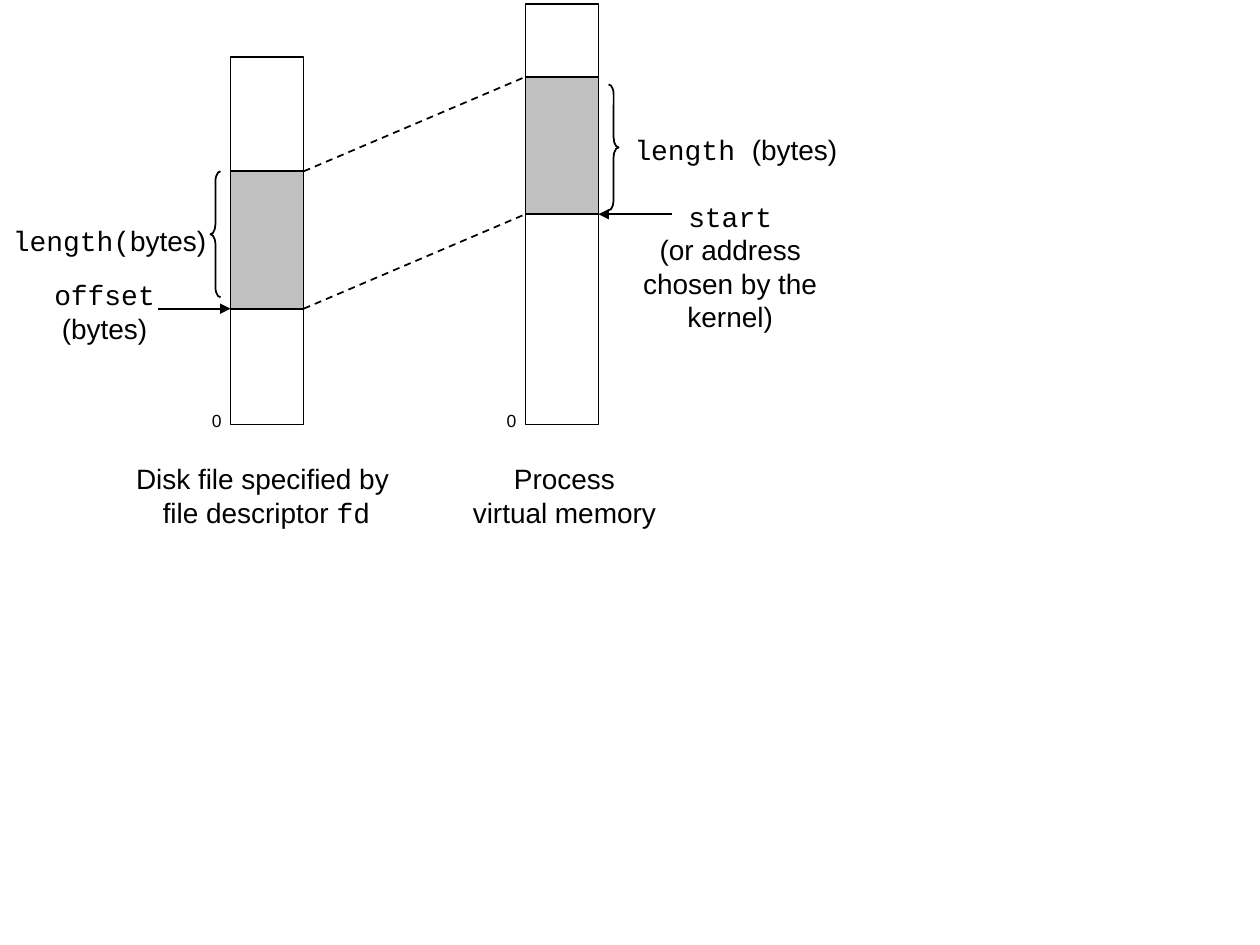
from typing import NamedTuple

from lxml.etree import SubElement
from pptx import Presentation
from pptx.dml.color import RGBColor
from pptx.enum.dml import MSO_LINE as Dash
from pptx.enum.shapes import MSO_CONNECTOR as Link, MSO_SHAPE as Kind
from pptx.enum.text import MSO_ANCHOR as Anchor, MSO_AUTO_SIZE as Fit, PP_ALIGN as Align
from pptx.oxml.ns import qn
from pptx.util import Inches, Pt

BLACK = RGBColor(0x00, 0x00, 0x00)
GRAY = RGBColor(0xC0, 0xC0, 0xC0)
SANS = "Arial"
MONO = "Courier New"

WIDE = 0.58
BASE = 3.37
SPAN = 1.09
DISK = 1.83
MEMORY = 4.17
FRAME = {
    "word_wrap": False,
    "auto_size": Fit.SHAPE_TO_FIT_TEXT,
    "vertical_anchor": Anchor.MIDDLE,
}


class Column(NamedTuple):
    left: float
    top: float
    start: float


class Brace(NamedTuple):
    kind: Kind
    left: float
    top: float


class Line(NamedTuple):
    x1: float
    y1: float
    x2: float
    y2: float
    arrow: bool


class Run(NamedTuple):
    text: str
    face: str = SANS


class Label(NamedTuple):
    left: float
    top: float
    width: float
    height: float
    rows: list[list[Run]]
    size: int = 16


COLUMNS = [Column(DISK, 0.45, 1.36), Column(MEMORY, 0.03, 0.61)]
BRACES = [Brace(Kind.LEFT_BRACE, 1.67, 1.36), Brace(Kind.RIGHT_BRACE, 4.83, 0.67)]
LINES = [
    Line(1.25, 2.45, DISK, 2.45, True),
    Line(5.33, 1.7, MEMORY + WIDE, 1.7, True),
    Line(DISK + WIDE, 1.36, MEMORY, 0.61, False),
    Line(DISK + WIDE, 2.45, MEMORY, 1.7, False),
]
LABELS = [
    Label(0.98, 3.61, 2.27, 0.64, [
        [Run("Disk file specified by ")],
        [Run("file descriptor "), Run("fd", MONO)],
    ]),
    Label(0.33, 2.15, 1, 0.64, [[Run("offset", MONO)], [Run("(bytes)")]]),
    Label(0, 1.72, 1.74, 0.37, [[Run("length(", MONO), Run("bytes)")]]),
    Label(5, 1.53, 1.59, 1.17, [
        [Run("start", MONO)],
        [Run("(or address")],
        [Run("chosen by the")],
        [Run("kernel)")],
    ]),
    Label(3.65, 3.61, 1.66, 0.64, [[Run("Process")], [Run("virtual memory")]]),
    Label(4.93, 1, 1.82, 0.37, [[Run("length ", MONO), Run("(bytes)")]]),
    *(Label(col.left - 0.25, 3.2, 0.28, 0.27, [[Run("0")]], 10) for col in COLUMNS),
]


def ink(line) -> None:
    line.color.rgb = BLACK
    line.width = Pt(1)


def add_box(slide, kind: Kind, left: float, top: float, width: float, height: float):
    box = slide.shapes.add_shape(
        kind, Inches(left), Inches(top), Inches(width), Inches(height))
    box.shadow.inherit = False
    box.fill.background()
    ink(box.line)
    return box


def add_column(slide, col: Column) -> None:
    edges = [col.top, col.start, col.start + SPAN, BASE]
    parts = [
        add_box(slide, Kind.RECTANGLE, col.left, top, WIDE, end - top)
        for top, end in zip(edges, edges[1:])
    ]
    parts[1].fill.solid()
    parts[1].fill.fore_color.rgb = GRAY


def add_brace(slide, brace: Brace) -> None:
    shape = add_box(slide, brace.kind, brace.left, brace.top, 0.08, 1)
    shape.adjustments[0] = 1.0
    shape.adjustments[1] = 0.5


def add_line(slide, item: Line) -> None:
    link = slide.shapes.add_connector(
        Link.STRAIGHT, Inches(item.x1), Inches(item.y1), Inches(item.x2), Inches(item.y2))
    ink(link.line)
    if item.arrow:
        SubElement(link.line._get_or_add_ln(), qn("a:tailEnd"), type="triangle")
    else:
        link.line.dash_style = Dash.DASH
    SubElement(link._element.spPr, qn("a:effectLst"))


def add_label(slide, label: Label) -> None:
    box = slide.shapes.add_textbox(
        Inches(label.left), Inches(label.top), Inches(label.width), Inches(label.height))
    frame = box.text_frame
    for name, value in FRAME.items():
        setattr(frame, name, value)
    for num, row in enumerate(label.rows):
        para = frame.add_paragraph() if num else frame.paragraphs[0]
        para.alignment = Align.CENTER
        for part in row:
            run = para.add_run()
            run.text = part.text
            for name, value in {"name": part.face, "size": Pt(label.size)}.items():
                setattr(run.font, name, value)
            run.font.color.rgb = BLACK


def main() -> None:
    deck = Presentation()
    deck.slide_width = Inches(10)
    deck.slide_height = Inches(7.5)
    slide = deck.slides.add_slide(deck.slide_layouts[6])
    for draw, items in (
        (add_column, COLUMNS),
        (add_brace, BRACES),
        (add_line, LINES),
        (add_label, LABELS),
    ):
        for item in items:
            draw(slide, item)
    deck.save("out.pptx")


if __name__ == "__main__":
    main()
